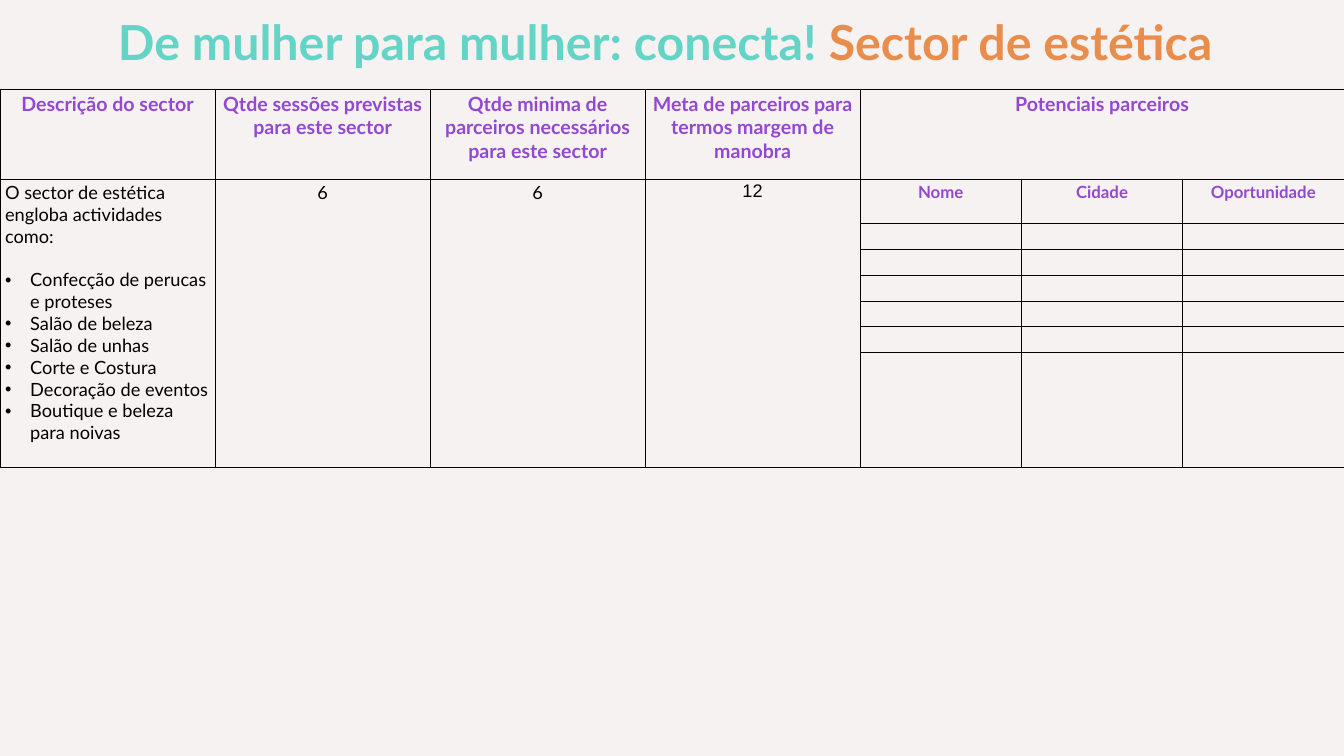
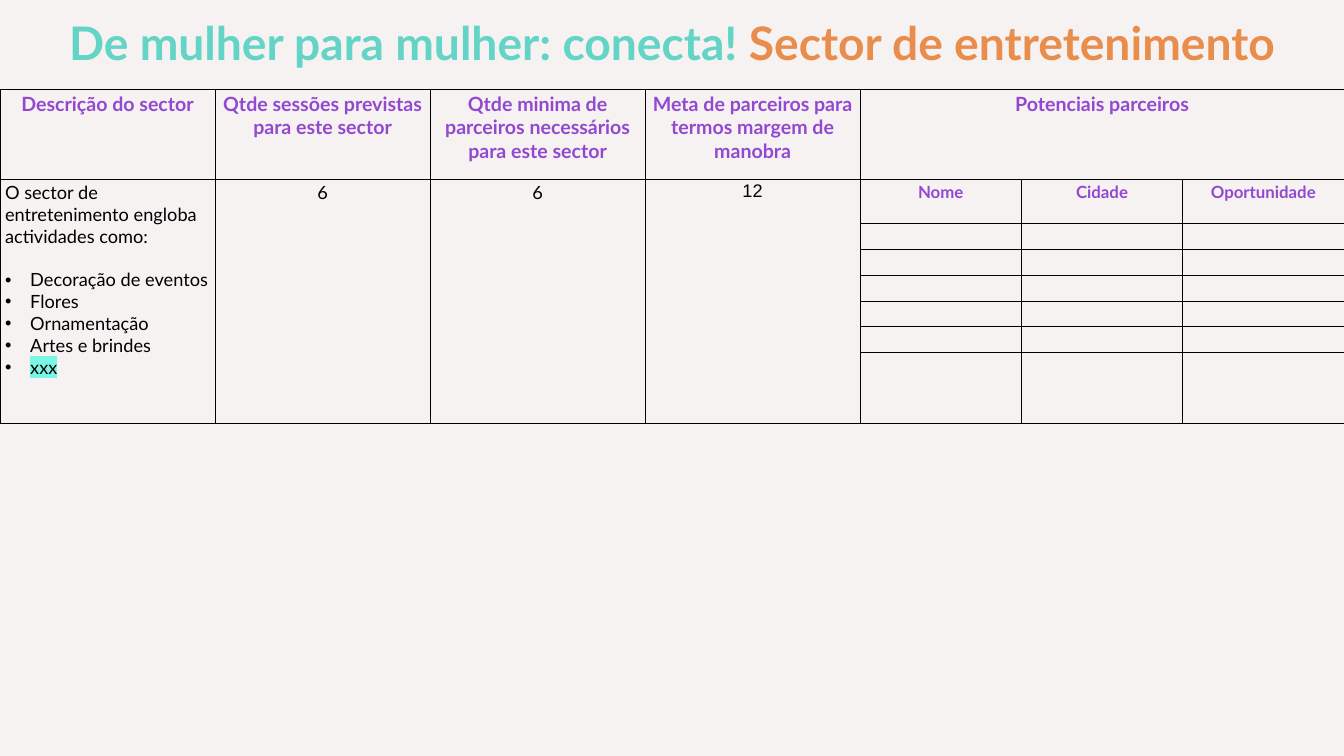
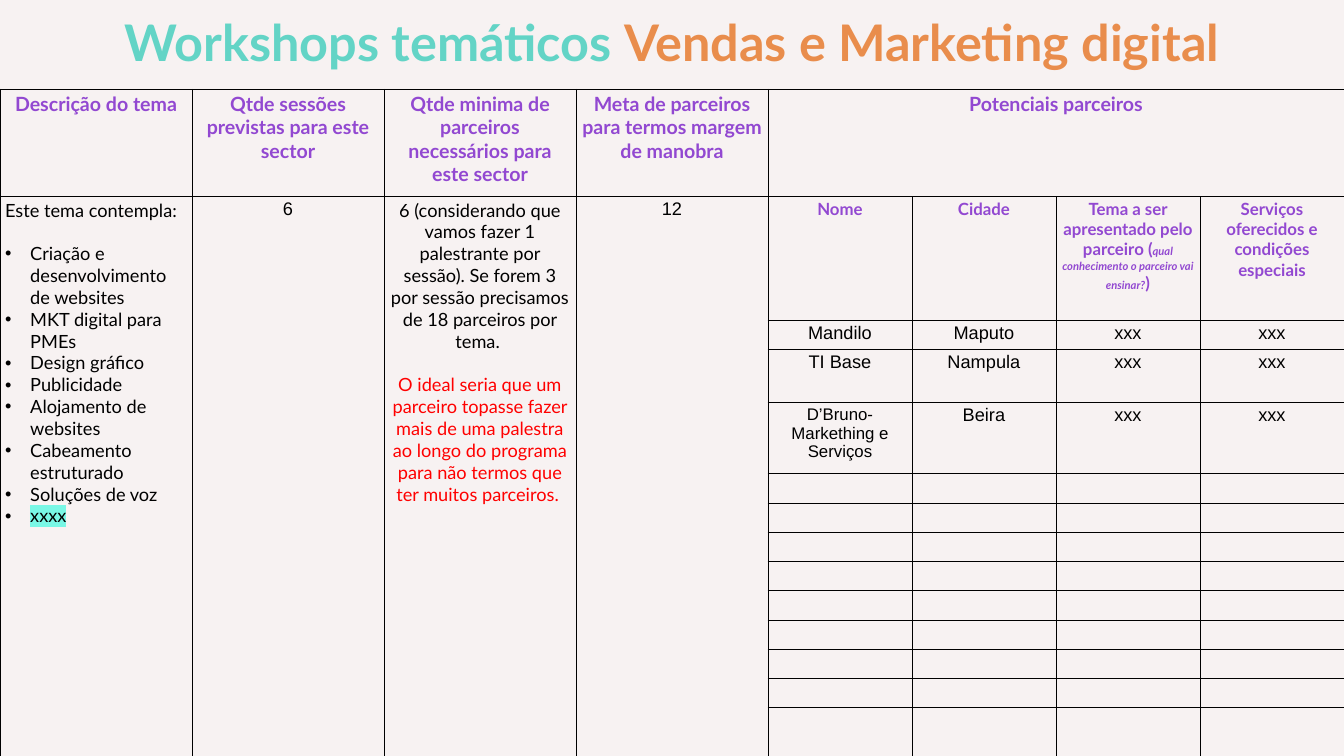
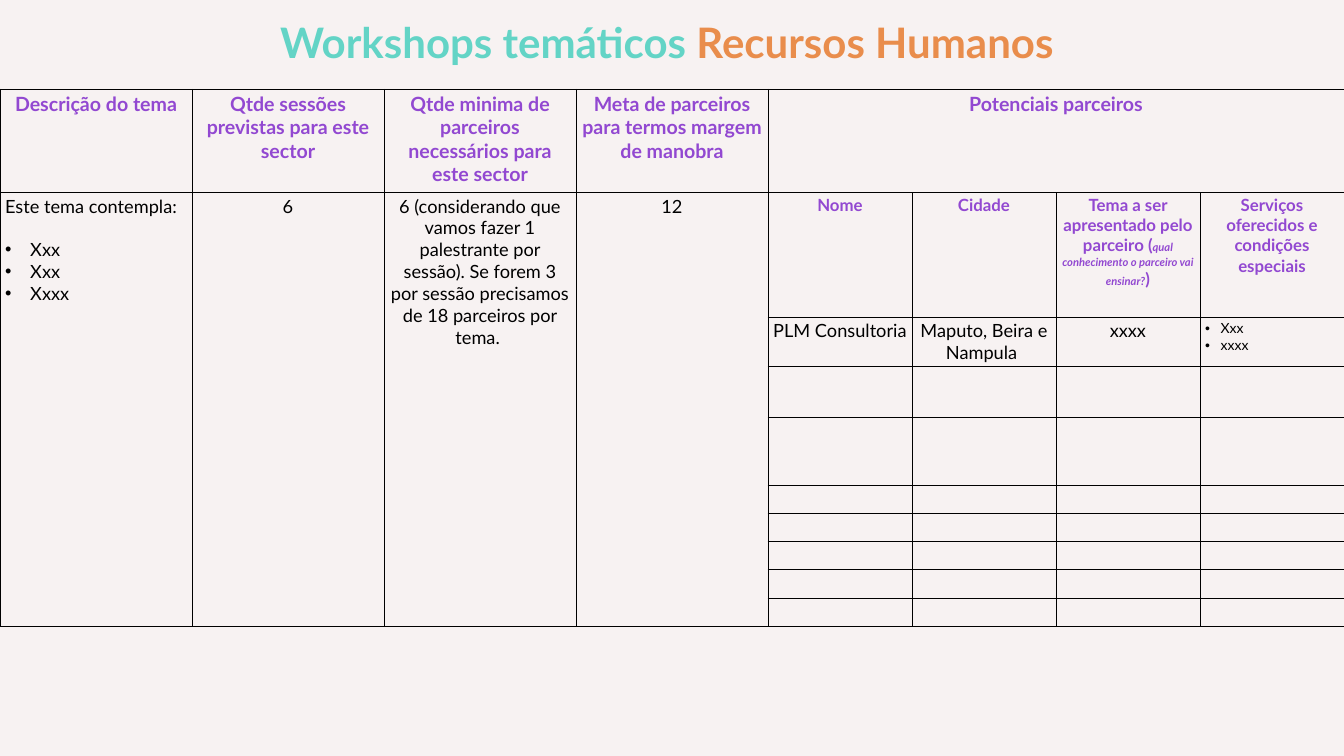
from dataclasses import dataclass, replace
from lxml.etree import SubElement
from pptx import Presentation
from pptx.dml.color import RGBColor
from pptx.enum.text import MSO_ANCHOR as ANCHOR, MSO_AUTO_SIZE as AUTOSIZE, PP_ALIGN as ALIGN
from pptx.oxml.ns import qn
from pptx.util import Inches, Pt

WIDTH, HEIGHT = Inches(26.67), Inches(15)
CREAM, TEAL, ORANGE, PURPLE = "F7F2F2", "63D4C6", "E98D4C", "9248D1"
BLACK, RED, AQUA = "000000", "FF0000", "79F7E5"


def rgb(value):
    return RGBColor.from_string(value)


@dataclass(frozen=True)
class Style:
    size: int = 26
    font: str = "Lato"
    color: str = BLACK
    bold: bool = False
    italic: bool = False
    highlight: str = ""


@dataclass
class Para:
    runs: list
    align: ALIGN = ALIGN.CENTER
    indent: float = 0
    gap: float = 0


BODY = Style()
HEAD = Style(28, color=PURPLE, bold=True)
SUBHEAD = replace(HEAD, size=24)
HINT = replace(HEAD, size=16, italic=True)
ARIAL = replace(BODY, font="Arial")
MARKED = replace(BODY, highlight=AQUA)


def line(text, style=BODY, **layout):
    return Para([(text, style)], **layout)


def bullet(text, style=BODY, indent=0.5):
    return line(text, style, align=ALIGN.LEFT, indent=indent)


def description(intro, items, marked=None):
    paras = [line(intro, align=ALIGN.LEFT, gap=31.2)] + [bullet(i) for i in items]
    return paras + [bullet(marked, MARKED)] if marked else paras


class Deck:
    def __init__(self):
        self.prs = Presentation()
        self.prs.slide_width, self.prs.slide_height = WIDTH, HEIGHT
        fill = self.prs.slide_master.background.fill
        fill.solid()
        fill.fore_color.rgb = rgb(CREAM)
        self.slide = None

    def x(self, share):
        return round(WIDTH * share)

    def y(self, share):
        return round(HEIGHT * share)

    def text(self, tf, paras):
        for i, para in enumerate(paras):
            p = tf.add_paragraph() if i else tf.paragraphs[0]
            p.alignment = para.align
            if para.gap:
                p.space_after = Pt(para.gap)
            if para.indent:
                pPr = p._p.get_or_add_pPr()
                pPr.set("marL", str(Inches(para.indent)))
                pPr.set("indent", str(-Inches(para.indent)))
                SubElement(pPr, qn("a:buFont")).set("typeface", "Arial")
                SubElement(pPr, qn("a:buChar")).set("char", "•")
            for words, style in para.runs:
                self.add_run(p, words, style)

    def add_run(self, p, words, style):
        r = p.add_run()
        r.text = words
        font = r.font
        font.size, font.name = Pt(style.size), style.font
        font.bold, font.italic = style.bold, style.italic
        font.color.rgb = rgb(style.color)
        if style.highlight:
            rPr = r._r.get_or_add_rPr()
            mark = SubElement(rPr, qn("a:highlight"))
            SubElement(mark, qn("a:srgbClr")).set("val", style.highlight)
            rPr.find(qn("a:solidFill")).addnext(mark)

    def title(self, lead, topic, size, left=0, width=1):
        self.slide = self.prs.slides.add_slide(self.prs.slide_layouts[5])
        sp = self.slide.shapes.title
        sp.left, sp.top = self.x(left), 0
        sp.width, sp.height = self.x(width), self.y(0.11)
        tf = sp.text_frame
        tf.word_wrap, tf.auto_size = True, AUTOSIZE.NONE
        tf.vertical_anchor = ANCHOR.MIDDLE
        tf.margin_left = tf.margin_right = tf.margin_top = tf.margin_bottom = Inches(0.06)
        style = Style(size, color=TEAL, bold=True)
        self.text(tf, [Para([(lead, style), (topic, replace(style, color=ORANGE))])])

    def plain(self, cell):
        tcPr = cell._tc.get_or_add_tcPr()
        for side in ("lnL", "lnR", "lnT", "lnB"):
            ln = SubElement(tcPr, qn(f"a:{side}"), w=str(Pt(1)))
            SubElement(SubElement(ln, qn("a:solidFill")), qn("a:srgbClr")).set("val", BLACK)
        cell.fill.background()

    def table(self, main_share, heights, heads, summary, partner_heads, partners=()):
        n, m = len(summary), len(partner_heads)
        rows, cols = len(heights), n + m
        tbl = self.slide.shapes.add_table(
            rows, cols, 0, self.y(0.118), WIDTH, self.y(sum(heights) / 100)).table
        tbl.first_row = tbl.horz_banding = False
        for j, col in enumerate(tbl.columns):
            col.width = self.x(main_share if j < n else (1 - n * main_share) / m)
        for row, height in zip(tbl.rows, heights):
            row.height = self.y(height / 100)
        for cell in tbl.iter_cells():
            self.plain(cell)
        tbl.cell(0, n).merge(tbl.cell(0, cols - 1))
        for j, head in enumerate(heads):
            self.text(tbl.cell(0, j).text_frame, [line(head, HEAD)])
        for j, paras in enumerate(summary):
            tbl.cell(1, j).merge(tbl.cell(rows - 1, j))
            self.text(tbl.cell(1, j).text_frame, paras)
        for i, entries in enumerate([partner_heads, *partners], 1):
            for j, paras in enumerate(entries, n):
                self.text(tbl.cell(i, j).text_frame, paras)


def heads(subject):
    return [f"Descrição do {subject}", "Qtde sessões previstas para este sector",
            "Qtde minima de parceiros necessários para este sector",
            "Meta de parceiros para termos margem de manobra", "Potenciais parceiros"]


SECTOR_COLS = [[line(t, SUBHEAD)] for t in ("Nome", "Cidade", "Oportunidade")]
THEME_COLS = [
    [line("Nome", SUBHEAD)],
    [line("Cidade", SUBHEAD)],
    [Para([("Tema a ser apresentado pelo parceiro (", SUBHEAD),
           ("qual conhecimento o parceiro vai ensinar?", HINT), (")", SUBHEAD)])],
    [line("Serviços oferecidos e condições especiais", SUBHEAD)],
]
SPEAKERS = ("6 (considerando que vamos fazer 1 palestrante por sessão). "
            "Se forem 3 por sessão precisamos de 18 parceiros por tema. ")
IDEAL = ("O ideal seria que um parceiro topasse fazer mais de uma palestra ao longo "
         "do programa para não termos que ter muitos parceiros. ")


def sector(deck, topic, size, left, width, last_row, about):
    deck.title("De mulher para mulher: conecta! ", f"Sector de {topic}", size, left, width)
    deck.table(0.16, [11.87, 5.93] + [3.4] * 5 + [last_row], heads("sector"),
               [about, [line("6")], [line("6")], [line("12", ARIAL)]], SECTOR_COLS)


def workshop(deck, topic, size, heights, about, speakers, number, partners):
    deck.title("Workshops temáticos ", topic, size)
    deck.table(1 / 7, heights, heads("tema"),
               [about, [line("6", number)], speakers, [line("12", number)]],
               THEME_COLS, partners)


def main():
    deck = Deck()
    sector(deck, "estética", 69, -0.01, 1.01, 15.2, description(
        "O sector de estética engloba actividades como:",
        ["Confecção de perucas e proteses", "Salão de beleza", "Salão de unhas",
         "Corte e Costura", "Decoração de eventos", "Boutique e beleza para noivas"]))
    sector(deck, "entretenimento", 66, -0.01, 1.02, 9.4, description(
        "O sector de entretenimento engloba actividades como:",
        ["Decoração de eventos", "Flores", "Ornamentação", "Artes e brindes"], "xxx"))

    names = [("Mandilo", "Maputo", 26), ("TI Base", "Nampula", 26),
             ("D’Bruno-Markething e Serviços", "Beira", 24)]
    workshop(deck, "Vendas e Marketing digital", 72,
             [14.2, 16.4, 3.87, 7, 9.4] + [3.87] * 8 + [6.53],
             description("Este tema contempla:",
                         ["Criação e desenvolvimento de websites", "MKT digital para PMEs",
                          "Design gráfico", "Publicidade", "Alojamento de websites",
                          "Cabeamento estruturado", "Soluções de voz"], "xxxx"),
             [line(SPEAKERS, gap=31.2), line(IDEAL, replace(BODY, color=RED))], ARIAL,
             [[[line(name, replace(ARIAL, size=size))], [line(city, ARIAL)],
               [line("xxx", ARIAL)], [line("xxx", ARIAL)]] for name, city, size in names])

    small = replace(BODY, size=20)
    workshop(deck, "Recursos Humanos ", 60,
             [13.67, 16.53, 6.4, 6.73, 9] + [3.73] * 5,
             description("Este tema contempla:", ["Xxx", "Xxx", "Xxxx"]),
             [line(SPEAKERS)], BODY,
             [[[line("PLM Consultoria")], [line("Maputo, Beira e Nampula ")], [line("xxxx")],
               [bullet(t, small, 0.31) for t in ("Xxx", "xxxx")]]])
    deck.prs.save("out.pptx")


if __name__ == "__main__":
    main()
